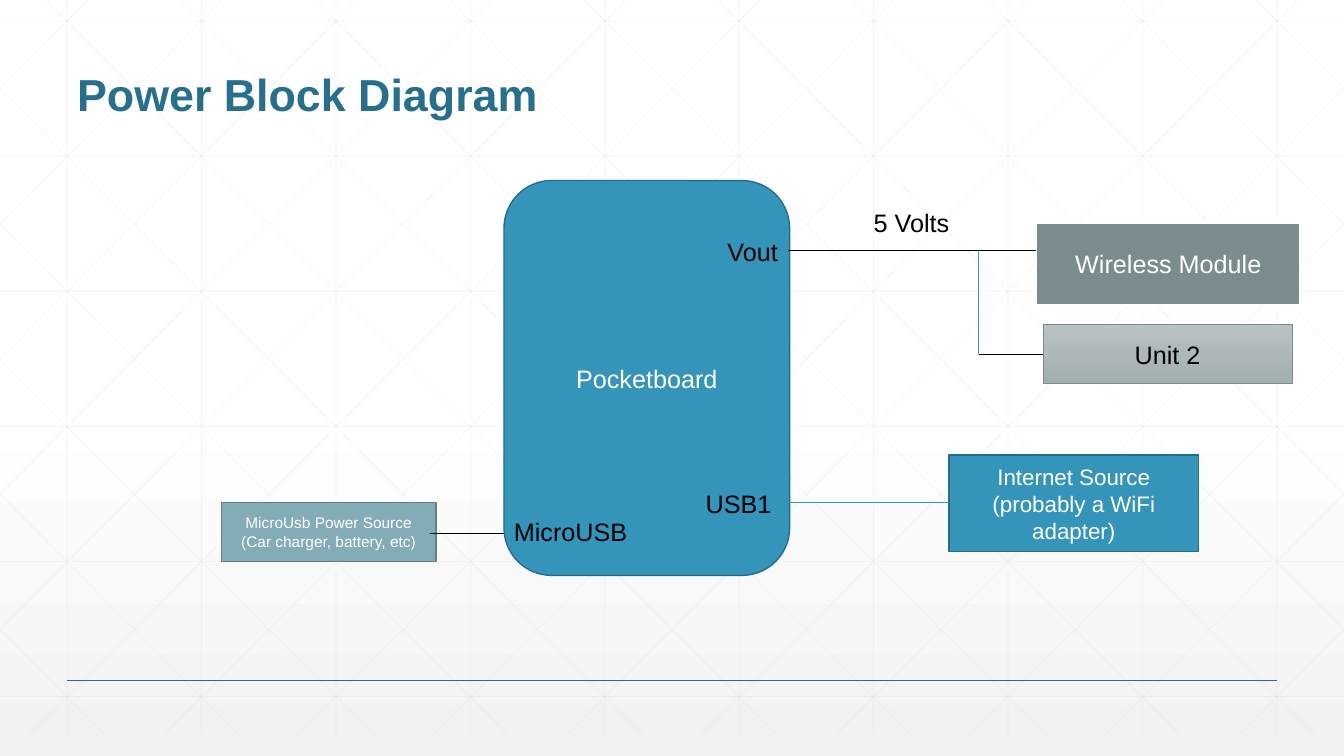
from lxml import etree
from pptx import Presentation
from pptx.dml.color import RGBColor
from pptx.enum.shapes import MSO_CONNECTOR, MSO_SHAPE
from pptx.enum.text import MSO_ANCHOR, MSO_AUTO_SIZE, PP_ALIGN
from pptx.oxml.ns import qn
from pptx.util import Pt

RECT, ROUNDED = MSO_SHAPE.RECTANGLE, MSO_SHAPE.ROUNDED_RECTANGLE
STRAIGHT = MSO_CONNECTOR.STRAIGHT
MIDDLE, BOTTOM = MSO_ANCHOR.MIDDLE, MSO_ANCHOR.BOTTOM
CENTER, LEFT = PP_ALIGN.CENTER, PP_ALIGN.LEFT
FIT_TEXT = MSO_AUTO_SIZE.SHAPE_TO_FIT_TEXT

WIDTH, HEIGHT = 960, 540
FONT = "Arial"
BLACK, WHITE, BLUE, NAVY = "000000", "FFFFFF", "3494BA", "266D8A"
TITLE_COLOR, GRID_COLOR = "276F8B", "D9D9D9"


def color(value):
    """Turn a hex string into a colour."""
    return RGBColor.from_string(value)


def set_gradient(fill, element, stops):
    """Give a fill a top-to-bottom gradient of (percent, colour) stops."""
    fill.gradient()
    fill.gradient_angle = 270
    stop_list = element.find(".//" + qn("a:gsLst"))
    for stop in list(stop_list):
        stop_list.remove(stop)
    for percent, value in stops:
        stop = etree.SubElement(stop_list, qn("a:gs"), pos=str(percent * 1000))
        etree.SubElement(stop, qn("a:srgbClr"), val=value)


def add_line(page, start, end, line_color, width=0.5, opacity=None):
    """Draw a straight line, with an optional opacity in percent."""
    line = page.shapes.add_connector(STRAIGHT, *map(Pt, start + end))
    line.line.color.rgb = color(line_color)
    line.line.width = Pt(width)
    properties = line.element.spPr
    etree.SubElement(properties, qn("a:effectLst"))
    if opacity is not None:
        shade = properties.find(".//" + qn("a:srgbClr"))
        etree.SubElement(shade, qn("a:alpha"), val=str(opacity * 1000))


def write(shape, text, size, text_color, align=LEFT, bold=False):
    """Put one paragraph of text into a shape and return it."""
    para = shape.text_frame.paragraphs[0]
    para.text = text
    para.alignment = align
    para.font.name = FONT
    para.font.size = Pt(size)
    para.font.bold = bold
    para.font.color.rgb = color(text_color)
    return para


def add_block(page, box, text, fill, border, border_width=1, size=18,
              text_color=WHITE, kind=RECT):
    """Draw a labelled block; fill is a colour or a list of gradient stops."""
    block = page.shapes.add_shape(kind, *map(Pt, box))
    block.shadow.inherit = False
    if isinstance(fill, str):
        block.fill.solid()
        block.fill.fore_color.rgb = color(fill)
    else:
        set_gradient(block.fill, block.element, fill)
    block.line.color.rgb = color(border)
    block.line.width = Pt(border_width)
    block.text_frame.word_wrap = True
    block.text_frame.vertical_anchor = MIDDLE
    write(block, text, size, text_color, CENTER)


def add_label(page, box, text):
    """Place an unwrapped pin or voltage label."""
    label = page.shapes.add_textbox(*map(Pt, box))
    label.text_frame.word_wrap = False
    label.text_frame.auto_size = FIT_TEXT
    write(label, text, 18, BLACK)


def draw_lattice(page, box):
    """Cover the box with faint upright, level and diagonal lines."""
    left, top, width, height = box
    right, bottom = left + width, top + height
    pitch, run = 96, 537
    lines = [((left + 48 + pitch * i, top), (left + 48 + pitch * i, bottom))
             for i in range(10)]
    levels = [top + 30 + 96.5 * i for i in range(6)]
    lines += [((left, y), (right, y)) for y in levels]
    slope = height / run
    for i in range(-5, 10):
        first = 18 + pitch * i
        near, far = max(first, 0), min(first + run, width)
        y1, y2 = (top + (x - first) * slope for x in (near, far))
        lines.append(((left + near, y1), (left + far, y2)))
        lines.append(((right - near, y1), (right - far, y2)))
    for start, end in lines:
        add_line(page, start, end, GRID_COLOR, opacity=25)


def draw_title(page, box):
    """Write the slide title at the bottom of the box."""
    title = page.shapes.add_textbox(*map(Pt, box))
    title.text_frame.word_wrap = True
    title.text_frame.vertical_anchor = BOTTOM
    para = write(title, "Power Block Diagram", 32, TITLE_COLOR, bold=True)
    para.line_spacing = 0.9


def draw_power_diagram(page, box):
    """Draw the board, its supplies and loads, and the wires between them."""
    left, top = box[:2]

    def at(x, y, *size):
        """Move a place inside the diagram to the slide."""
        return (left + x, top + y, *size)

    silver = [(0, "BBC2C3"), (50, "AFB8B9"), (100, "A3AEB0")]
    add_block(page, at(202, 0, 204, 282), "Pocketboard", BLUE, NAVY,
              kind=ROUNDED)
    add_block(page, at(582, 30, 189, 59), "Wireless Module", "7A8C8E", WHITE,
              1.5)
    add_block(page, at(587, 103, 178, 42), "Unit 2", silver, "7A8C8E", 0.5,
              text_color=BLACK)
    add_block(page, at(520, 196, 178, 69),
              "Internet Source (probably a WiFi adapter)", BLUE, NAVY, size=16)
    add_block(page, at(0, 230, 153.5, 42),
              "MicroUsb Power Source (Car charger, battery, etc)",
              "84ACB6", "627F87", size=11)

    labels = [("Vout", 354.5, 36, 51), ("5 Volts", 459, 15.5, 69),
              ("USB1", 339, 216, 62), ("MicroUSB", 202, 236, 96.5)]
    for text, x, y, width in labels:
        add_label(page, at(x, y, width, 29), text)

    branch, vout, module = 541, 50, 124
    wires = [((405, vout), (582, vout), BLACK),
             ((branch, module), (587, module), BLACK),
             ((branch, module), (branch, vout), BLUE),
             ((405, 230), (520, 230), BLUE),
             ((149.5, 252), (202, 252), BLACK)]
    for start, end, wire_color in wires:
        add_line(page, at(*start), at(*end), wire_color)


def build_slide(deck):
    """Add the power block diagram slide to the deck."""
    page = deck.slides.add_slide(deck.slide_layouts[6])
    set_gradient(page.background.fill, page.element,
                 [(0, WHITE), (53, WHITE), (100, "F2F2F2")])
    draw_lattice(page, (0, -15, WIDTH, HEIGHT))
    add_line(page, (48, 486), (WIDTH - 48, 486), TITLE_COLOR, 1)
    draw_title(page, (48, 18, WIDTH - 96, 72))
    draw_power_diagram(page, (158, 129, 771, 282))


deck = Presentation()
deck.slide_width, deck.slide_height = Pt(WIDTH), Pt(HEIGHT)
build_slide(deck)
deck.save("out.pptx")
